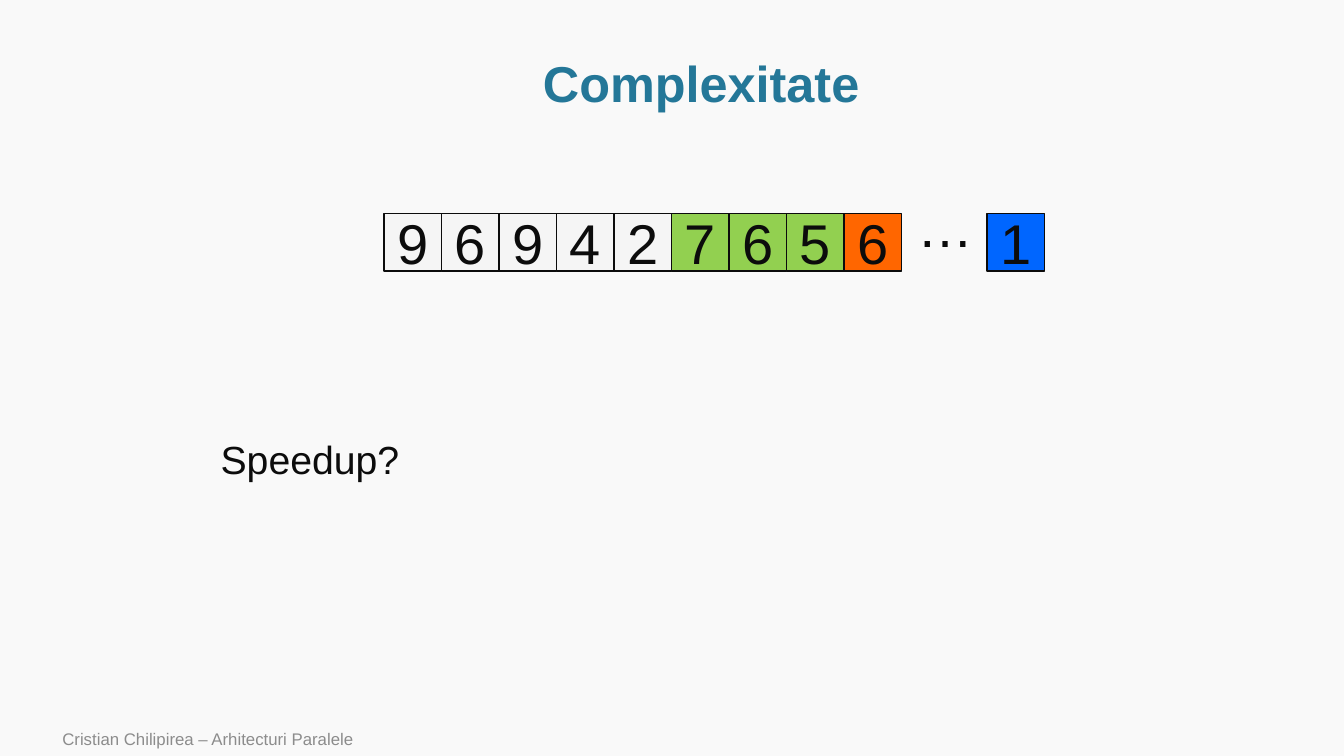
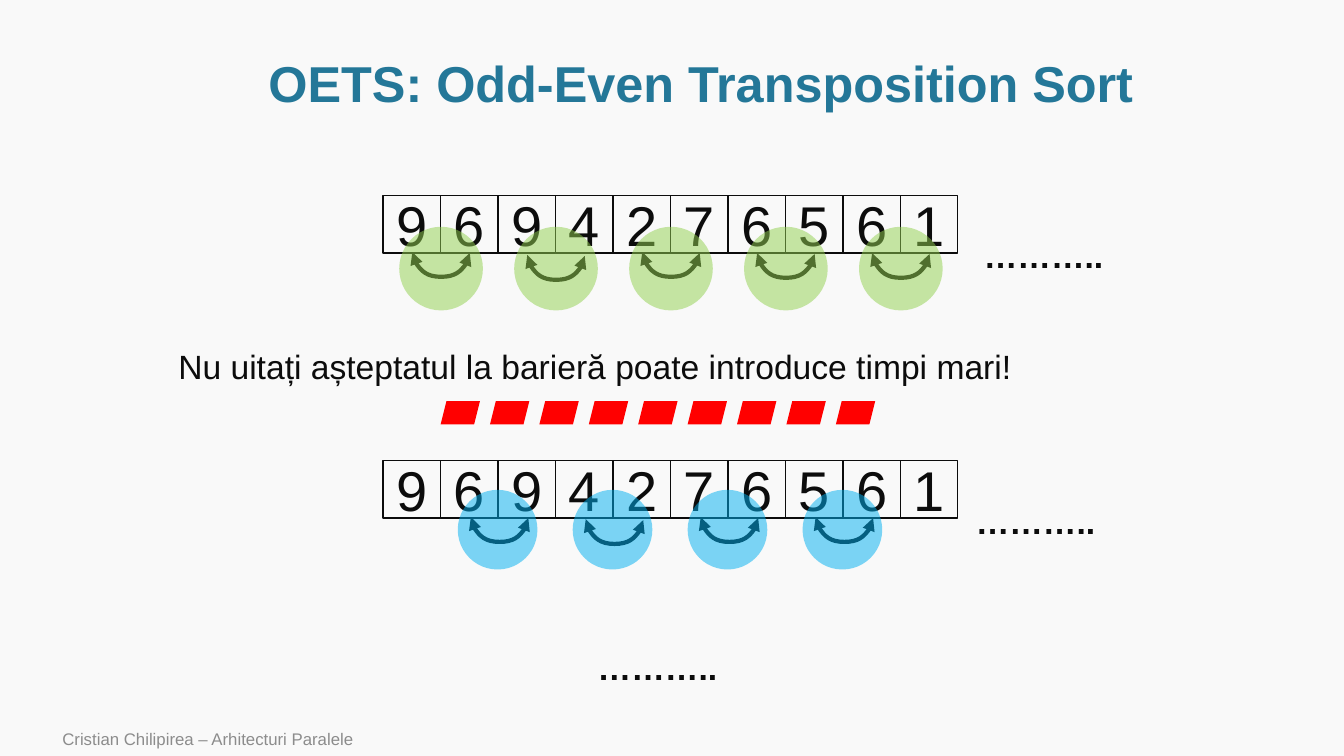
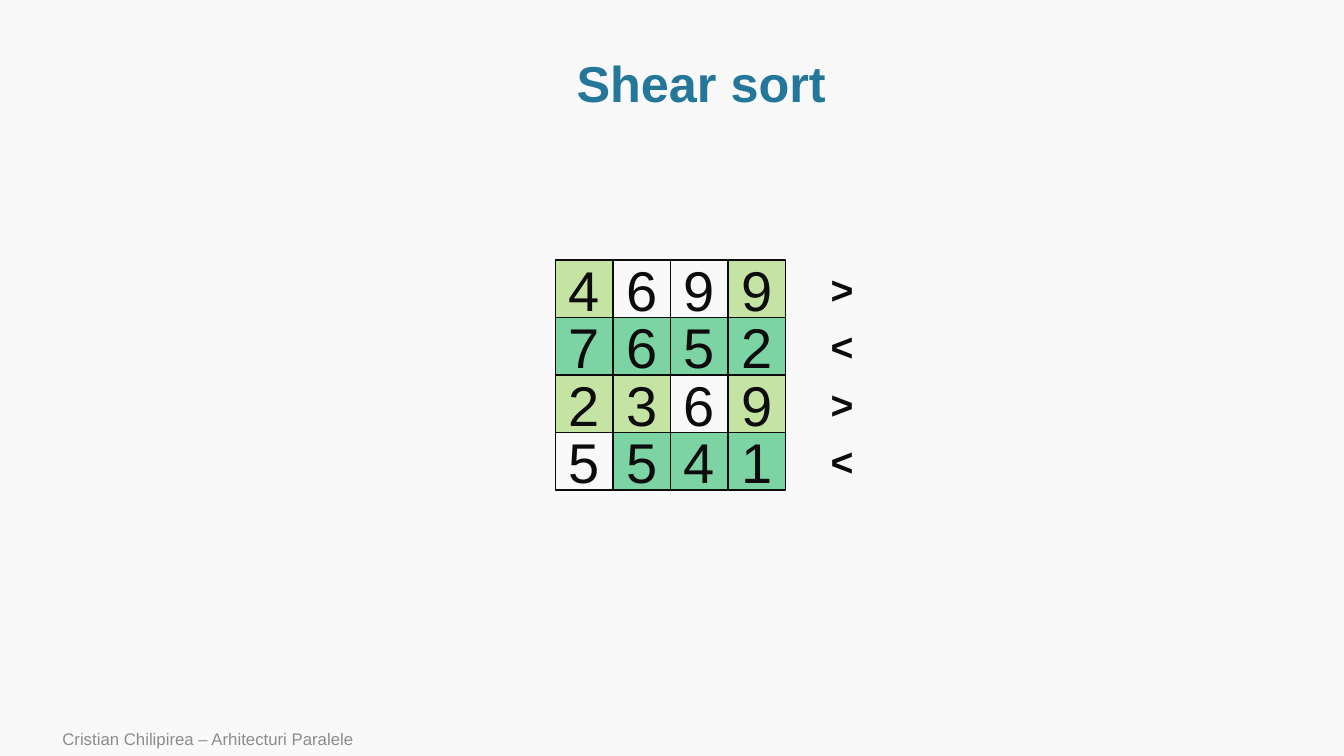
import pptx
import pptx.util
import pptx.dml.color
import pptx.enum.shapes
import pptx.enum.text
import pptx.oxml
import pptx.oxml.ns

Inches, Pt = pptx.util.Inches, pptx.util.Pt
KIND = pptx.enum.shapes.MSO_SHAPE
ALIGN = pptx.enum.text.PP_ALIGN
ANCHOR = pptx.enum.text.MSO_ANCHOR
FIT = pptx.enum.text.MSO_AUTO_SIZE

# Shared style
FONT = "Arial"
INK, BLUE, GREY, PAPER = "0C0C0C", "247798", "8C8C8C", "F9F9F9"
PALE, LIME, GREEN, ORANGE, ROYAL = "F5F5F5", "92D050", "00B050", "FF6600", "0066FF"
SKY, RED = "00B0F0", "FF0000"
CELL = 0.57
PAIR = 2 * CELL
FOOTER = "Cristian Chilipirea – Arhitecturi Paralele"

# Content
COSTS = [(9, PALE), (6, PALE), (9, PALE), (4, PALE), (2, PALE),
         (7, LIME), (6, LIME), (5, LIME), (6, ORANGE)]
LAST = [(1, ROYAL)]
LIST = [(n, None) for n in (9, 6, 9, 4, 2, 7, 6, 5, 6, 1)]
DOTS = "……….."
# Each phase: row top, arrow left, arrow tops, disc left, disc top, disc size, colour
PHASES = [
    (1.94, 4.09, (2.5, 2.53, 2.5, 2.51, 2.51), 3.96, 2.25, 0.83, LIME),
    (4.57, 4.67, (5.13, 5.15, 5.13, 5.13), 4.54, 4.86, 0.79, SKY),
]
DOT_SPOTS = [(9.66, 2.28), (9.58, 4.92), (5.83, 6.37)]
BARS = 9
GRID = [
    (">", [(4, LIME), (6, None), (9, None), (9, LIME)]),
    ("<", [(7, GREEN), (6, GREEN), (5, GREEN), (2, GREEN)]),
    (">", [(2, LIME), (3, LIME), (6, None), (9, LIME)]),
    ("<", [(5, None), (5, GREEN), (4, GREEN), (1, GREEN)]),
]


def color(code):
    return pptx.dml.color.RGBColor.from_string(code)


def write(shape, text, size=24, ink=INK, bold=False, align=ALIGN.LEFT,
          anchor=ANCHOR.TOP, wrap=True, fit=FIT.NONE, lead=None):
    frame = shape.text_frame
    frame.word_wrap, frame.auto_size = wrap, fit
    frame.vertical_anchor = anchor
    para = frame.paragraphs[0]
    para.alignment = align
    if lead:
        para.line_spacing = lead
    run = para.add_run()
    run.text = text
    font = run.font
    font.name, font.size, font.bold = FONT, Pt(size), bold
    font.color.rgb = color(ink)


def label(slide, text, left, top, width, height, **style):
    box = slide.shapes.add_textbox(*map(Inches, (left, top, width, height)))
    write(box, text, **{"wrap": False, "fit": FIT.SHAPE_TO_FIT_TEXT, **style})


def draw(slide, kind, left, top, width, height, fill=None, alpha=100, line=None):
    shape = slide.shapes.add_shape(kind, *map(Inches, (left, top, width, height)))
    shape.shadow.inherit = False
    if fill:
        shape.fill.solid()
        shape.fill.fore_color.rgb = color(fill)
        if alpha < 100:
            tone = shape.element.spPr.find(".//" + pptx.oxml.ns.qn("a:srgbClr"))
            add(tone, "alpha", val=alpha * 1000)
    else:
        shape.fill.background()
    if line:
        shape.line.color.rgb = color(line)
        shape.line.width = Pt(1)
    else:
        shape.line.fill.background()
    return shape


def add(parent, tag, **attrs):
    child = parent.makeelement(pptx.oxml.ns.qn("a:" + tag), {})
    for key, val in attrs.items():
        child.set(key, str(val))
    parent.append(child)


def cells(slide, items, left, top, alpha=100):
    for i, (num, fill) in enumerate(items):
        cell = draw(slide, KIND.RECTANGLE, left + i * CELL, top, CELL, CELL,
                    fill, alpha, INK)
        write(cell, str(num), size=40, align=ALIGN.CENTER, anchor=ANCHOR.MIDDLE)


def swap(slide, left, top):
    """Draw a U-shaped double arrow one cell wide, hanging 0.25 in below top."""
    rise, drop = 0.01, 0.25
    x, y = left + (CELL - rise) / 2, top + (rise - CELL) / 2
    arrow = slide.shapes.add_connector(
        pptx.enum.shapes.MSO_CONNECTOR.CURVE,
        *map(Inches, (x, y, x + rise, y + CELL)))
    arrow.line.color.rgb = color(INK)
    arrow.line.width = Pt(3)
    props = arrow.element.spPr
    form = props.find(pptx.oxml.ns.qn("a:xfrm"))
    form.set("rot", str(270 * 60000))
    form.set("flipH", "1")
    guides = props.find(".//" + pptx.oxml.ns.qn("a:avLst"))
    add(guides, "gd", name="adj1", fmla=f"val {round(drop / rise * 100000)}")
    edge = props.find(pptx.oxml.ns.qn("a:ln"))
    add(edge, "headEnd", type="triangle")
    add(edge, "tailEnd", type="triangle")
    add(props, "effectLst")


def start(deck, text):
    slide = deck.slides.add_slide(deck.slide_layouts[5])
    title = slide.shapes.title
    title.left, title.top, title.width, title.height = map(
        Inches, (1.14, 0.51, 11.63, 0.69))
    write(title, text, size=36, ink=BLUE, bold=True, align=ALIGN.CENTER,
          anchor=ANCHOR.MIDDLE, lead=0.9)
    label(slide, FOOTER, 0.52, 7.16, 8.4, 0.34, size=12, ink=GREY,
          anchor=ANCHOR.MIDDLE, wrap=True, fit=FIT.NONE)
    return slide


def cost(deck):
    slide = start(deck, "Complexitate")
    label(slide, "Speedup?", 2.09, 4.27, 2, 0.57, size=28)
    cells(slide, COSTS, 3.81, 2.12)
    cells(slide, LAST, 9.79, 2.12)
    label(slide, "…", 9, 1.85, 0.76, 0.77, size=40)


def oets(deck):
    slide = start(deck, "OETS: Odd-Even Transposition Sort")
    for top, left, tops, disc, level, size, fill in PHASES:
        cells(slide, LIST, 3.8, top)
        for i, y in enumerate(tops):
            swap(slide, left + i * PAIR, y)
            draw(slide, KIND.OVAL, disc + i * PAIR, level, size, size, fill, 51)
    for left, top in DOT_SPOTS:
        label(slide, DOTS, left, top, 1.4, 0.5, bold=True)
    # Barrier
    label(slide, "Nu uitați așteptatul la barieră poate introduce timpi mari!",
          1.67, 3.38, 8.55, 0.5)
    for i in range(BARS):
        draw(slide, KIND.PARALLELOGRAM, 4.37 + i * 0.49, 3.98, 0.39, 0.23, RED)


def shear(deck):
    slide = start(deck, "Shear sort")
    for i, (sign, items) in enumerate(GRID):
        top = 2.58 + i * CELL
        cells(slide, items, 5.51, top, 50)
        label(slide, sign, 8.14, top, 0.43, CELL, size=28, bold=True)


def main():
    deck = pptx.Presentation()
    deck.slide_width, deck.slide_height = Inches(13.33), Inches(7.5)
    back = deck.slide_master.background.fill
    back.solid()
    back.fore_color.rgb = color(PAPER)
    for build in (cost, oets, shear):
        build(deck)
    deck.save("out.pptx")


if __name__ == "__main__":
    main()
